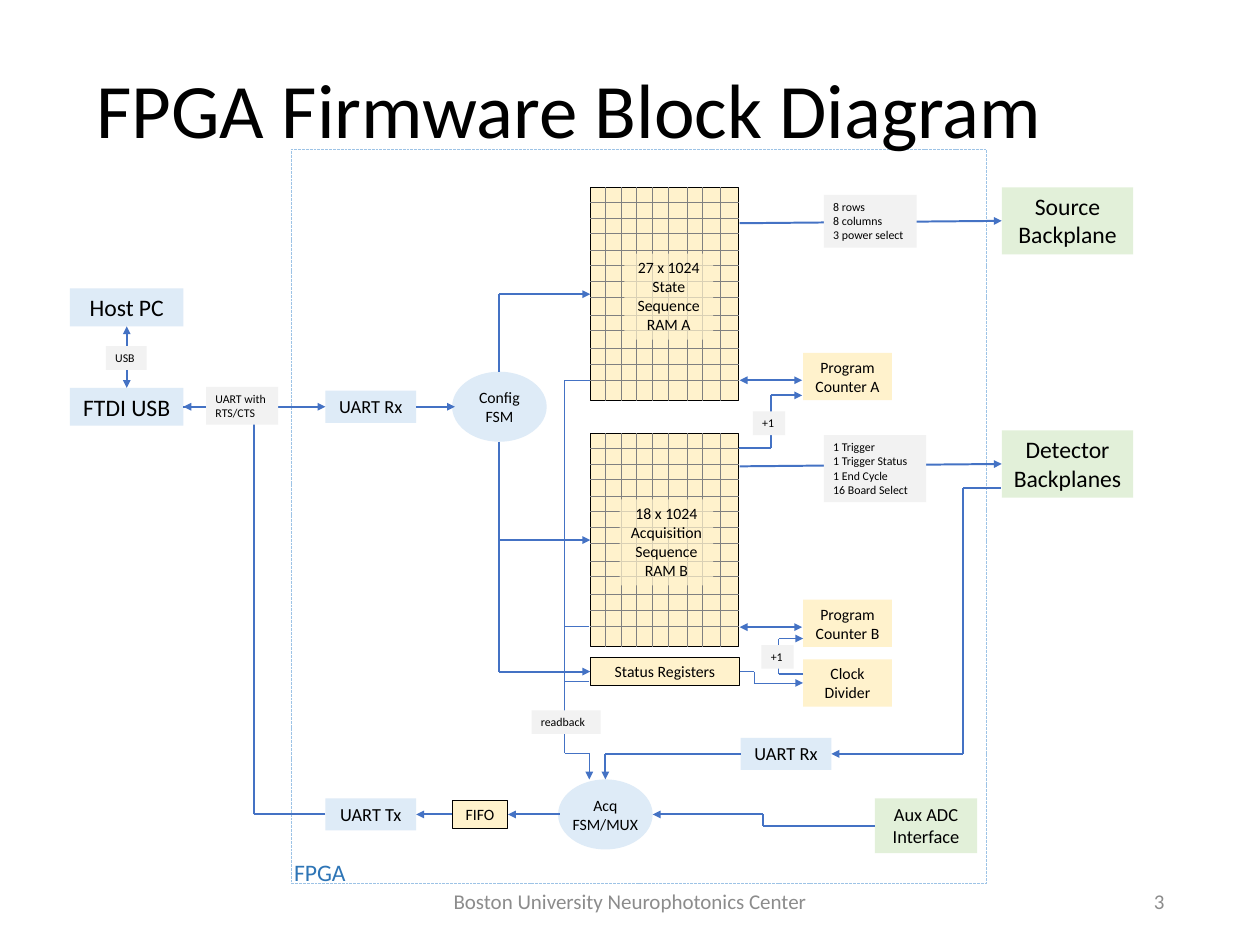
from lxml import etree
from pptx import Presentation
from pptx.dml.color import RGBColor
from pptx.enum.dml import MSO_LINE
from pptx.enum.shapes import MSO_CONNECTOR, MSO_SHAPE
from pptx.enum.text import MSO_ANCHOR, PP_ALIGN
from pptx.oxml.ns import qn
from pptx.util import Pt

PX = 9144  # EMU per px, 100 px to the inch
RECTANGLE, ELLIPSE = MSO_SHAPE.RECTANGLE, MSO_SHAPE.OVAL
STRAIGHT = MSO_CONNECTOR.STRAIGHT
DASHED = MSO_LINE.SQUARE_DOT
LEFT, CENTER, RIGHT = PP_ALIGN.LEFT, PP_ALIGN.CENTER, PP_ALIGN.RIGHT
TOP_ANCHOR, MIDDLE_ANCHOR = MSO_ANCHOR.TOP, MSO_ANCHOR.MIDDLE
TOP_SIDE, LEFT_SIDE, BOTTOM_SIDE, RIGHT_SIDE = range(4)
FONT = "Calibri"
COLORS = {
    "black": "000000",
    "logic": "DEEBF7",
    "memory": "FFF2CC",
    "external": "E2F0D9",
    "label": "F2F2F2",
    "grid": "808080",
    "wire": "4472C4",
    "boundary": "9DC3E6",
    "boundary text": "2E75B6",
    "footer": "8C8C8C",
}
RAM_WIDTH, RAM_HEIGHT = 157, 226
COLUMN_OFFSETS = (16, 33, 49, 66, 83, 103, 119, 137)
ROW_OFFSETS = (16, 33, 49, 67, 83, 99, 116, 135, 151, 170, 187, 204)


def rgb(name):
    return RGBColor.from_string(COLORS[name])


def locate(point):
    """Return the EMU position of an (x, y) pair in px or a (shape, side) pair."""
    first, second = point
    if isinstance(first, int):
        return first * PX, second * PX
    x_halves, y_halves = ((1, 0), (0, 1), (1, 2), (2, 1))[second]
    return (first.left + first.width * x_halves // 2,
            first.top + first.height * y_halves // 2)


class Diagram:
    def __init__(self, slide):
        self.shapes = slide.shapes

    def set_text(self, shape, text, size, color="black", align=CENTER,
                 anchor=TOP_ANCHOR, wrap=True, spacing=None):
        frame = shape.text_frame
        frame.text = text
        frame.word_wrap = wrap
        frame.vertical_anchor = anchor
        for paragraph in frame.paragraphs:
            paragraph.alignment = align
            paragraph.line_spacing = spacing
            for run in paragraph.runs:
                run.font.name = FONT
                run.font.size = Pt(size)
                run.font.color.rgb = rgb(color)

    def text(self, text, x, y, width, height, size, **style):
        shape = self.shapes.add_textbox(x * PX, y * PX, width * PX, height * PX)
        self.set_text(shape, text, size, **style)

    def shape(self, x, y, width, height, fill=None, outline=None,
              geometry=RECTANGLE, opacity=None):
        shape = self.shapes.add_shape(
            geometry, x * PX, y * PX, width * PX, height * PX)
        shape.shadow.inherit = False
        if fill:
            shape.fill.solid()
            shape.fill.fore_color.rgb = rgb(fill)
        else:
            shape.fill.background()
        if outline:
            shape.line.color.rgb = rgb(outline)
            shape.line.width = Pt(0.75)
        else:
            shape.line.fill.background()
        if opacity:
            color = next(shape.element.spPr.iter(qn("a:srgbClr")))
            etree.SubElement(color, qn("a:alpha"), val=str(opacity * 1000))
        return shape

    def block(self, text, x, y, width, height, fill, size=12, outline=None,
              opacity=None):
        shape = self.shape(x, y, width, height, fill, outline, opacity=opacity)
        self.set_text(shape, text, size)
        return shape

    def label(self, text, x, y, width, height=25):
        shape = self.shape(x, y, width, height, "label")
        self.set_text(shape, text, 9, align=LEFT)

    def state_machine(self, text, x, y):
        shape = self.shape(x, y, 100, 74, "logic", geometry=ELLIPSE)
        self.set_text(shape, text, 12, anchor=MIDDLE_ANCHOR, wrap=False)

    def line(self, start, end, color="wire", width=1.5, head=False, tail=False):
        """Draw a straight connector; head is an arrow at start, tail one at end."""
        connector = self.shapes.add_connector(
            STRAIGHT, *locate(start), *locate(end))
        if not isinstance(start[0], int):
            connector.begin_connect(*start)
        if not isinstance(end[0], int):
            connector.end_connect(*end)
        connector.line.color.rgb = rgb(color)
        connector.line.width = Pt(width)
        properties = connector.element.spPr
        outline = properties.find(qn("a:ln"))
        for tag, wanted in (("a:headEnd", head), ("a:tailEnd", tail)):
            if wanted:
                etree.SubElement(outline, qn(tag), type="triangle")
        etree.SubElement(properties, qn("a:effectLst"))

    def route(self, *points, width=1.5):
        """Join the points by straight legs, with an arrow at the last point."""
        last = len(points) - 2
        for index, (start, end) in enumerate(zip(points, points[1:])):
            self.line(start, end, width=width, tail=index == last)

    def ram(self, text, y, caption_x, caption_width):
        x = 624
        memory = self.shape(x, y, RAM_WIDTH, RAM_HEIGHT, "memory", "black")
        for offset in COLUMN_OFFSETS:
            self.line((x + offset, y), (x + offset, y + RAM_HEIGHT), "grid", 0.5)
        for offset in ROW_OFFSETS:
            self.line((x, y + offset), (x + RAM_WIDTH, y + offset), "grid", 0.5)
        self.block(text, caption_x, y + 70, caption_width, 91, "memory", opacity=70)
        return memory


def draw(diagram):
    boundary = diagram.shape(308, 158, 735, 776, outline="boundary")
    boundary.line.dash_style = DASHED
    diagram.text("FPGA Firmware Block Diagram", 92, 53, 1149, 134, 58.6,
                 align=LEFT, anchor=MIDDLE_ANCHOR, spacing=0.9)
    diagram.text("FPGA", 301, 902, 75, 40, 18, color="boundary text",
                 align=LEFT, wrap=False)
    footer = {"color": "footer", "anchor": MIDDLE_ANCHOR}
    diagram.text("Boston University Neurophotonics Center",
                 441, 926, 450, 53, 16, **footer)
    diagram.text("3", 941, 926, 300, 53, 16, align=RIGHT, **footer)

    host = diagram.block("Host PC", 74, 305, 120, 40, "logic", 18)
    usb = diagram.block("FTDI USB", 74, 410, 120, 40, "logic", 18)
    config_rx = diagram.block("UART Rx", 344, 413, 96, 34, "logic", 14)
    data_rx = diagram.block("UART Rx", 783, 780, 96, 34, "logic", 14)
    uart_tx = diagram.block("UART Tx", 344, 844, 96, 34, "logic", 14)
    fifo = diagram.block("FIFO", 478, 846, 59, 30, "memory", outline="black")
    diagram.state_machine("Config\nFSM", 478, 393)
    diagram.state_machine("Acq\nFSM/MUX", 590, 824)
    ram_a = diagram.ram("27 x 1024\nState Sequence RAM A", 198, 660, 94)
    ram_b = diagram.ram("18 x 1024\nAcquisition Sequence RAM B", 458, 655, 99)
    status = diagram.block("Status Registers", 624, 695, 158, 30, "memory",
                           outline="black")
    for text, y in (("Program\nCounter A", 373), ("Program\nCounter B", 634),
                    ("Clock Divider", 697)):
        diagram.block(text, 849, y, 94, 50, "memory")
    source = diagram.block("Source Backplane", 1059, 198, 139, 71, "external", 18)
    detector = diagram.block("Detector Backplanes", 1059, 455, 139, 71,
                             "external", 18)
    aux_adc = diagram.block("Aux ADC\vInterface", 925, 844, 108, 58, "external", 14)

    diagram.line((usb, TOP_SIDE), (host, BOTTOM_SIDE), head=True, tail=True)
    for y in (402, 663):
        diagram.line((782, y), (848, y), head=True, tail=True)

    diagram.route((usb, RIGHT_SIDE), (config_rx, LEFT_SIDE))
    diagram.route((config_rx, RIGHT_SIDE), (481, 430))
    diagram.route((528, 393), (528, 311), (ram_a, LEFT_SIDE))
    diagram.route((528, 467), (528, 571), (ram_b, LEFT_SIDE))
    diagram.route((528, 571), (528, 710), (status, LEFT_SIDE))
    diagram.route((782, 236), (source, LEFT_SIDE))
    diagram.route((782, 493), (detector, LEFT_SIDE))
    diagram.route((781, 474), (815, 474), (815, 418), (848, 418))
    diagram.route((849, 713), (823, 713), (823, 675), (849, 675))
    diagram.route((1058, 516), (1018, 516), (1018, 797), (data_rx, RIGHT_SIDE))
    diagram.route((data_rx, LEFT_SIDE), (640, 797), (640, 824))
    diagram.route((aux_adc, LEFT_SIDE), (807, 873), (807, 861), (690, 861))
    diagram.route((592, 861), (fifo, RIGHT_SIDE))
    diagram.route((fifo, LEFT_SIDE), (uart_tx, RIGHT_SIDE))
    diagram.route((uart_tx, LEFT_SIDE), (269, 861), (269, 430), (usb, RIGHT_SIDE))
    diagram.route((status, RIGHT_SIDE), (797, 710), (797, 722), (849, 722), width=0.5)
    diagram.route((624, 402), (597, 402), (597, 796), (623, 796), (623, 824),
                  width=0.5)
    for y in (662, 720):
        diagram.line((623, y), (597, y), width=0.5)

    diagram.label("USB", 112, 366, 43)
    diagram.label("UART with RTS/CTS", 218, 409, 76, 40)
    diagram.label("8 rows\n8 columns\n3 power select", 871, 206, 98, 56)
    diagram.label("1 Trigger\n1 Trigger Status\n1 End Cycle\n16 Board Select",
                  871, 460, 108, 71)
    diagram.label("+1", 796, 435, 34)
    diagram.label("+1", 805, 682, 34)
    diagram.label("readback", 562, 751, 73)


def main():
    presentation = Presentation()
    presentation.slide_width = 1332 * PX
    presentation.slide_height = 999 * PX
    slide = presentation.slides.add_slide(presentation.slide_layouts[6])
    draw(Diagram(slide))
    presentation.save("out.pptx")


if __name__ == "__main__":
    main()
